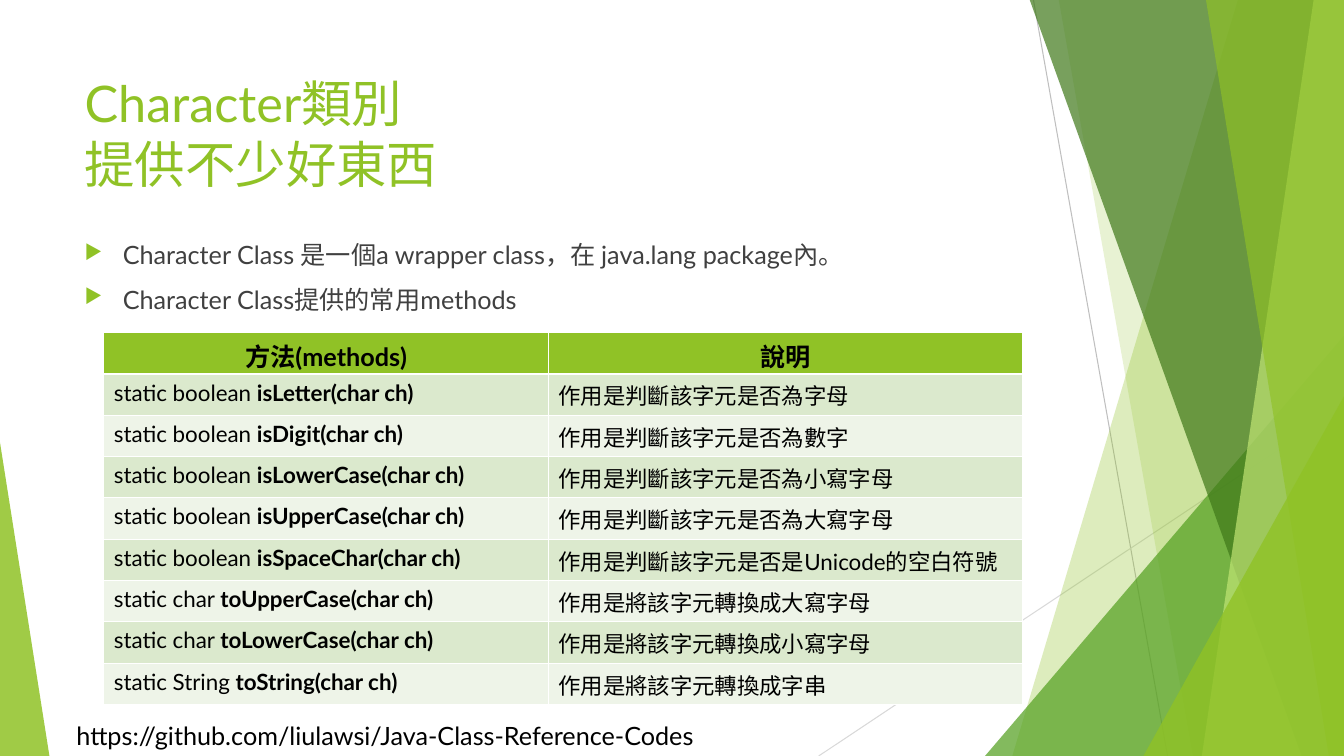
from lxml import etree
from pptx import Presentation
from pptx import util as u
from pptx.dml.color import RGBColor
from pptx.enum import shapes, text
from pptx.oxml.ns import qn

# Content
TITLE = "Character類別\v提供不少好東西"
POINTS = [
    "Character Class 是一個a wrapper class，在 java.lang package內。",
    "Character Class提供的常用methods",
]
HEAD = ("方法(methods)", "說明")
ROWS = [
    ("static boolean ", "isLetter(char ch)", "作用是判斷該字元是否為字母"),
    ("static boolean ", "isDigit(char ch)", "作用是判斷該字元是否為數字"),
    ("static boolean ", "isLowerCase(char ch)", "作用是判斷該字元是否為小寫字母"),
    ("static boolean ", "isUpperCase(char ch)", "作用是判斷該字元是否為大寫字母"),
    ("static boolean ", "isSpaceChar(char ch)", "作用是判斷該字元是否是Unicode的空白符號"),
    ("static char ", "toUpperCase(char ch)", "作用是將該字元轉換成大寫字母"),
    ("static char ", "toLowerCase(char ch)", "作用是將該字元轉換成小寫字母"),
    ("static String ", "toString(char ch)", "作用是將該字元轉換成字串"),
]
LINK = "https://github.com/liulawsi/Java-Class-Reference-Codes"

# Look: 100 px to the inch
PX = 9144
WIDE, HIGH = 1333, 750
COLS, ROW = (441, 470), 41
HEX = {
    "lime": "90C226", "green": "54A021", "dark": "3F7819", "pale": "C0E474",
    "odd": "DBE9CD", "even": "EEF4E8", "ink": "000000", "gray": "404040",
    "rule": "BFBFBF", "faint": "D9D9D9",
}
FORMAT = {
    "title": {"size": u.Pt(36), "bold": False},
    "body": {"size": u.Pt(18), "bold": False},
    "head": {"size": u.Pt(18), "bold": True},
    "cell": {"size": u.Pt(16), "bold": False},
    "name": {"size": u.Pt(16), "bold": True},
}

# Decoration: lines, then bands (top x, bottom x) and triangles (box, tip)
LINES = [((1025, 0), (1158, 750), "rule"), ((1333, 403), (812, 750), "faint")]
PARTS = [
    ("band", (1228, 1004), "lime", 30),
    ("band", (1050, 1183), "lime", 20),
    ("tri", (977, 333, 356, 417, 1), "green", 72),
    ("band", (1021, 1291), "dark", 70),
    ("band", (1303, 1192), "pale", 70),
    ("band", (1196, 1318), "lime", 65),
    ("tri", (1134, 393, 199, 357, 1), "lime", 80),
    ("tri", (0, 439, 49, 311, 0), "lime", 85),
]


def emu(*vals):
    return [u.Emu(v * PX) for v in vals]


def tint(fill, color):
    fill.solid()
    fill.fore_color.rgb = RGBColor.from_string(HEX[color])


def write(para, words, form, color="ink"):
    para.add_run() if "\v" not in words else setattr(para, "text", words)
    if "\v" not in words:
        para.runs[-1].text = words
    runs = para.runs if "\v" in words else para.runs[-1:]
    for run in runs:
        for key, val in {"name": "Lato", **FORMAT[form]}.items():
            setattr(run.font, key, val)
        run.font.color.rgb = RGBColor.from_string(HEX[color])


def box(slide, *area, wrap=True):
    frame = slide.shapes.add_textbox(*emu(*area)).text_frame
    frame.word_wrap = wrap
    return frame


def bullet(para):
    props = para._p.get_or_add_pPr()
    props.set("marL", str(38 * PX))
    props.set("indent", str(-38 * PX))
    tone = etree.SubElement(props, qn("a:buClr"))
    etree.SubElement(tone, qn("a:srgbClr"), val=HEX["lime"])
    etree.SubElement(props, qn("a:buSzPct"), val="80000")
    etree.SubElement(props, qn("a:buChar"), char="▶")


def backdrop(slide):
    for start, end, color in LINES:
        line = slide.shapes.add_connector(
            shapes.MSO_CONNECTOR.STRAIGHT, *emu(*start, *end))
        line.line.width = u.Pt(0.75)
        line.line.color.rgb = RGBColor.from_string(HEX[color])
        etree.SubElement(line._element.spPr, qn("a:effectLst"))
    for kind, geo, color, alpha in PARTS:
        if kind == "band":
            top, foot = geo
            path = slide.shapes.build_freeform(top, -1, scale=PX)
            path.add_line_segments([(WIDE, -1), (WIDE, HIGH), (foot, HIGH)])
            part = path.convert_to_shape()
        else:
            part = slide.shapes.add_shape(
                shapes.MSO_SHAPE.ISOSCELES_TRIANGLE, *emu(*geo[:4]))
            part.adjustments[0] = geo[4]
        part.shadow.inherit = False
        part.line.fill.background()
        tint(part.fill, color)
        tone = part._element.spPr.find(".//" + qn("a:srgbClr"))
        etree.SubElement(tone, qn("a:alpha"), val=str(alpha * 1000))


def methods(slide):
    count = len(ROWS) + 1
    grid = slide.shapes.add_table(
        count, len(COLS), *emu(103, 330, sum(COLS), ROW * count)).table
    for col, wide in zip(grid.columns, COLS):
        col.width = u.Emu(wide * PX)
    for i, label in enumerate(HEAD):
        cell = grid.cell(0, i)
        tint(cell.fill, "lime")
        para = cell.text_frame.paragraphs[0]
        para.alignment = text.PP_ALIGN.CENTER
        write(para, label, "head")
    for i, (kind, name, note) in enumerate(ROWS, 1):
        left, right = grid.cell(i, 0), grid.cell(i, 1)
        for cell in (left, right):
            tint(cell.fill, "odd" if i % 2 else "even")
        para = left.text_frame.paragraphs[0]
        write(para, kind, "cell")
        write(para, name, "name")
        write(right.text_frame.paragraphs[0], note, "cell")


def main():
    deck = Presentation()
    deck.slide_width, deck.slide_height = emu(WIDE, HIGH)
    slide = deck.slides.add_slide(deck.slide_layouts[6])
    backdrop(slide)

    # Link at the foot
    foot = box(slide, 66, 710, 670, 40, wrap=False)
    foot.auto_size = text.MSO_AUTO_SIZE.SHAPE_TO_FIT_TEXT
    write(foot.paragraphs[0], LINK, "body")

    # Title and bullets
    write(box(slide, 74, 67, 940, 144).paragraphs[0], TITLE, "title", "lime")
    body = box(slide, 74, 233, 940, 424)
    for i, point in enumerate(POINTS):
        para = body.add_paragraph() if i else body.paragraphs[0]
        bullet(para)
        if i:
            para.space_before = u.Pt(10)
        write(para, point, "body", "gray")

    methods(slide)
    deck.save("out.pptx")


if __name__ == "__main__":
    main()
